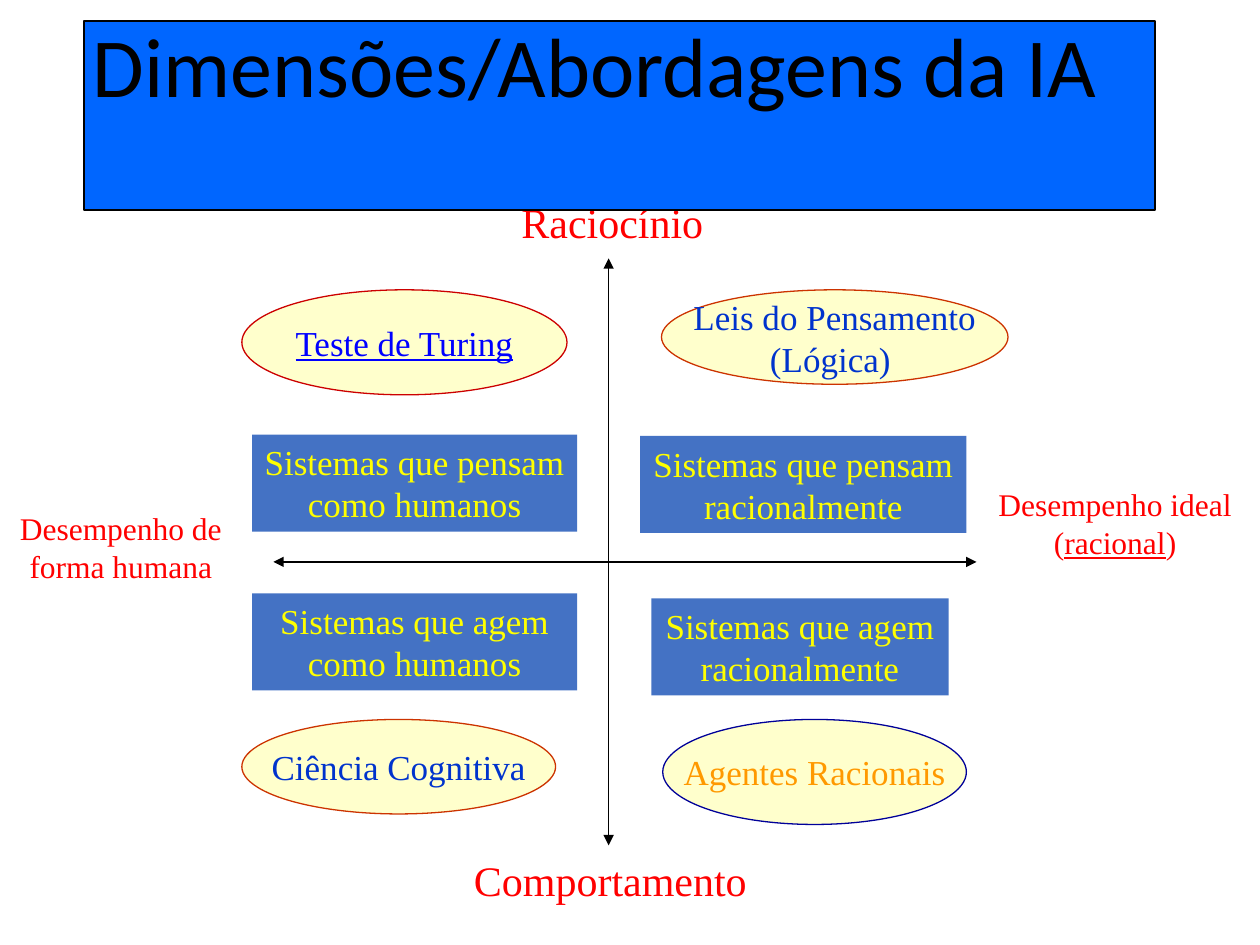
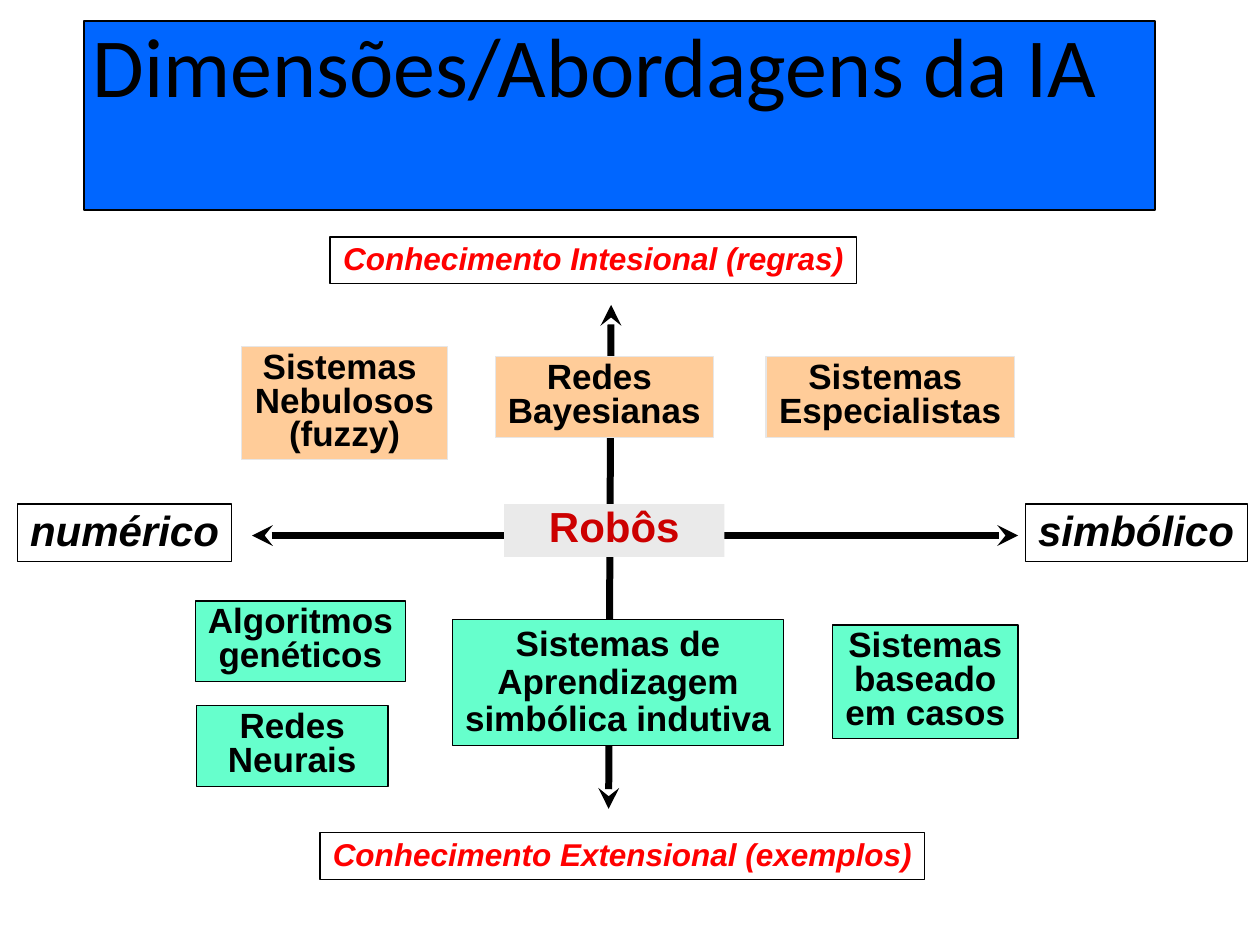
from pptx import Presentation
from pptx.dml.color import RGBColor
from pptx.enum.shapes import MSO_CONNECTOR, MSO_SHAPE
from pptx.enum.text import MSO_ANCHOR, MSO_AUTO_SIZE, PP_ALIGN
from pptx.oxml.ns import qn
from pptx.util import Pt

RECT, OVAL = MSO_SHAPE.RECTANGLE, MSO_SHAPE.OVAL
LINE = MSO_CONNECTOR.STRAIGHT
TOP, MIDDLE = MSO_ANCHOR.TOP, MSO_ANCHOR.MIDDLE
FIXED = MSO_AUTO_SIZE.NONE
LEFT, CENTER = PP_ALIGN.LEFT, PP_ALIGN.CENTER

BLACK = RGBColor(0x00, 0x00, 0x00)
RED = RGBColor(0xFF, 0x00, 0x00)
CRIMSON = RGBColor(0xCC, 0x00, 0x00)
RUST = RGBColor(0xCC, 0x33, 0x00)
ORANGE = RGBColor(0xFF, 0x99, 0x00)
YELLOW = RGBColor(0xFF, 0xFF, 0x00)
CREAM = RGBColor(0xFF, 0xFF, 0xCC)
PEACH = RGBColor(0xFF, 0xCC, 0x99)
MINT = RGBColor(0x66, 0xFF, 0xCC)
SILVER = RGBColor(0xE7, 0xE6, 0xE6)
PALE = RGBColor(0xEA, 0xEA, 0xEA)
BAND = RGBColor(0x00, 0x66, 0xFF)
STEEL = RGBColor(0x44, 0x72, 0xC4)
BLUE = RGBColor(0x00, 0x33, 0xCC)
LINK = RGBColor(0x00, 0x00, 0xFF)
NAVY = RGBColor(0x00, 0x00, 0x99)

SERIF, SANS, HEAD = "Times New Roman", "Arial", "Calibri"
TITLE = "Dimensões/Abordagens da IA"


def write(frame, text, font=SANS, size=20, color=BLACK, bold=False,
          italic=False, under="", align=CENTER, anchor=TOP, space=1.0,
          before=0, wrap=True, inset=(7.2, 3.6)):
    frame.auto_size = FIXED
    frame.word_wrap = wrap
    frame.vertical_anchor = anchor
    frame.margin_left = frame.margin_right = Pt(inset[0])
    frame.margin_top = frame.margin_bottom = Pt(inset[1])
    for i, row in enumerate(text.split("\n")):
        para = frame.add_paragraph() if i else frame.paragraphs[0]
        para.alignment = align
        para.line_spacing = space
        para.space_before = Pt(before)
        parts = row.partition(under) if under else (row,)
        for part in filter(None, parts):
            run = para.add_run()
            run.text = part
            run.font.name = font
            run.font.size = Pt(size)
            run.font.bold = bold
            run.font.italic = italic
            run.font.underline = part == under
            run.font.color.rgb = color


class Deck:
    def __init__(self):
        self.show = Presentation()
        self.show.slide_width, self.show.slide_height = Pt(720), Pt(540)
        self.slide = None

    def start(self):
        self.slide = self.show.slides.add_slide(self.show.slide_layouts[5])

    def paint(self, shape, fill, edge):
        if fill is None:
            shape.fill.background()
        else:
            shape.fill.solid()
            shape.fill.fore_color.rgb = fill
        if edge is None:
            shape.line.fill.background()
        else:
            shape.line.color.rgb = edge
            shape.line.width = Pt(0.75)

    def title(self, text):
        shape = self.slide.shapes.title
        shape.left, shape.top, shape.width, shape.height = map(Pt, (48, 12, 612, 108))
        self.paint(shape, BAND, BLACK)
        write(shape.text_frame, text, font=HEAD, size=48, align=LEFT,
              space=0.9, inset=(5, 2.5))
        shape.element.getparent().append(shape.element)

    def label(self, text, place, size, **style):
        shape = self.slide.shapes.add_textbox(*map(Pt, place))
        write(shape.text_frame, text, font=SERIF, size=size, color=RED,
              before=size * 0.625, **style)

    def box(self, text, place, kind=RECT, fill=None, edge=None, **style):
        shape = self.slide.shapes.add_shape(kind, *map(Pt, place))
        shape.shadow.inherit = False
        self.paint(shape, fill, edge)
        write(shape.text_frame, text, **style)

    def arrow(self, ends, width, tip):
        link = self.slide.shapes.add_connector(LINE, *map(Pt, ends))
        link.line.color.rgb = BLACK
        link.line.width = Pt(width)
        props = link.element.spPr
        line = props.find(qn("a:ln"))
        for end in ("a:headEnd", "a:tailEnd"):
            line.append(line.makeelement(qn(end), {"type": tip}))
        props.append(props.makeelement(qn("a:effectLst"), {}))


def views(deck):
    deck.start()
    deck.label("Desempenho de forma humana", (0, 287.3, 138.2, 50.4), 18)
    deck.label("Desempenho ideal (racional)", (562.3, 273.6, 149.8, 50.4), 18,
               under="racional")
    deck.label("Raciocínio", (279.4, 108.7, 141.1, 36), 24)
    deck.label("Comportamento", (263.5, 484.6, 170.6, 36), 24)
    deck.arrow((156.2, 321.1, 558, 321.1), 0.75, "triangle")
    for text, place in (
        ("Sistemas que pensam como humanos", (144, 248.4, 185.8, 55.4)),
        ("Sistemas que agem como humanos", (144, 339.1, 185.8, 55.4)),
        ("Sistemas que agem racionalmente", (372.2, 342, 169.9, 55.4)),
        ("Sistemas que pensam racionalmente", (365.8, 249.1, 186.5, 55.4)),
    ):
        deck.box(text, place, fill=STEEL, font=SERIF, color=YELLOW, before=12.5)
    deck.title(TITLE)
    deck.arrow((347.8, 147.6, 347.8, 483.1), 0.75, "triangle")
    for text, place, edge, color, under in (
        ("Teste de Turing", (138.2, 165.6, 185.8, 60), CRIMSON, LINK, "Teste de Turing"),
        ("Ciência Cognitiva", (138.2, 411.1, 179.3, 54), RUST, BLUE, ""),
        ("Leis do Pensamento\n(Lógica) ", (378, 165.6, 198, 54), RUST, BLUE, ""),
        ("Agentes Racionais", (378.7, 411.1, 173.5, 60), NAVY, ORANGE, ""),
    ):
        deck.box(text, place, kind=OVAL, fill=CREAM, edge=edge, font=SERIF,
                 color=color, under=under, anchor=MIDDLE, wrap=False)


def fields(deck):
    deck.start()
    deck.arrow((347.8, 462.2, 349.2, 174.2), 4, "stealth")
    deck.arrow((144, 306, 581.8, 306), 4, "stealth")
    for text, place, fill, edge, space in (
        ("Redes\nNeurais", (112.3, 403.2, 109.4, 46.1), MINT, BLACK, 0.8),
        ("Redes \nBayesianas", (283, 203.8, 124.6, 46.1), PEACH, SILVER, 0.8),
        ("Algoritmos\ngenéticos", (111.6, 343.4, 120.2, 46.1), MINT, BLACK, 0.8),
        ("Sistemas \nEspecialistas", (437.8, 203.8, 141.8, 46.1), PEACH, SILVER, 0.8),
        ("Sistemas \nNebulosos\n(fuzzy)", (138.2, 198, 117.4, 64.8), PEACH, SILVER, 0.8),
        ("Sistemas de\nAprendizagem\nsimbólica indutiva",
         (258.5, 354.2, 189.4, 72), MINT, BLACK, 0.9),
        ("Sistemas\nbaseado\nem casos", (475.9, 357.1, 105.8, 64.8), MINT, BLACK, 0.8),
    ):
        deck.box(text, place, fill=fill, edge=edge, bold=True, space=space, wrap=False)
    for text, place, size, color, align in (
        ("Conhecimento Intesional (regras)", (188.6, 135.4, 301, 26.6), 18, RED, CENTER),
        ("Conhecimento Extensional (exemplos)", (182.9, 475.9, 345.6, 26.6), 18, RED, CENTER),
        ("simbólico", (586.1, 288, 126.7, 33.1), 24, BLACK, LEFT),
        ("numérico", (10.1, 288, 122.4, 33.1), 24, BLACK, LEFT),
    ):
        deck.box(text, place, edge=BLACK, size=size, color=color, align=align,
                 bold=True, italic=True, space=0.9, wrap=False)
    deck.box("Robôs", (288, 288, 126, 30.2), fill=PALE, size=24, color=CRIMSON,
             bold=True, space=0.8)
    deck.title(TITLE)


def main():
    deck = Deck()
    views(deck)
    fields(deck)
    deck.show.save("out.pptx")


if __name__ == "__main__":
    main()
